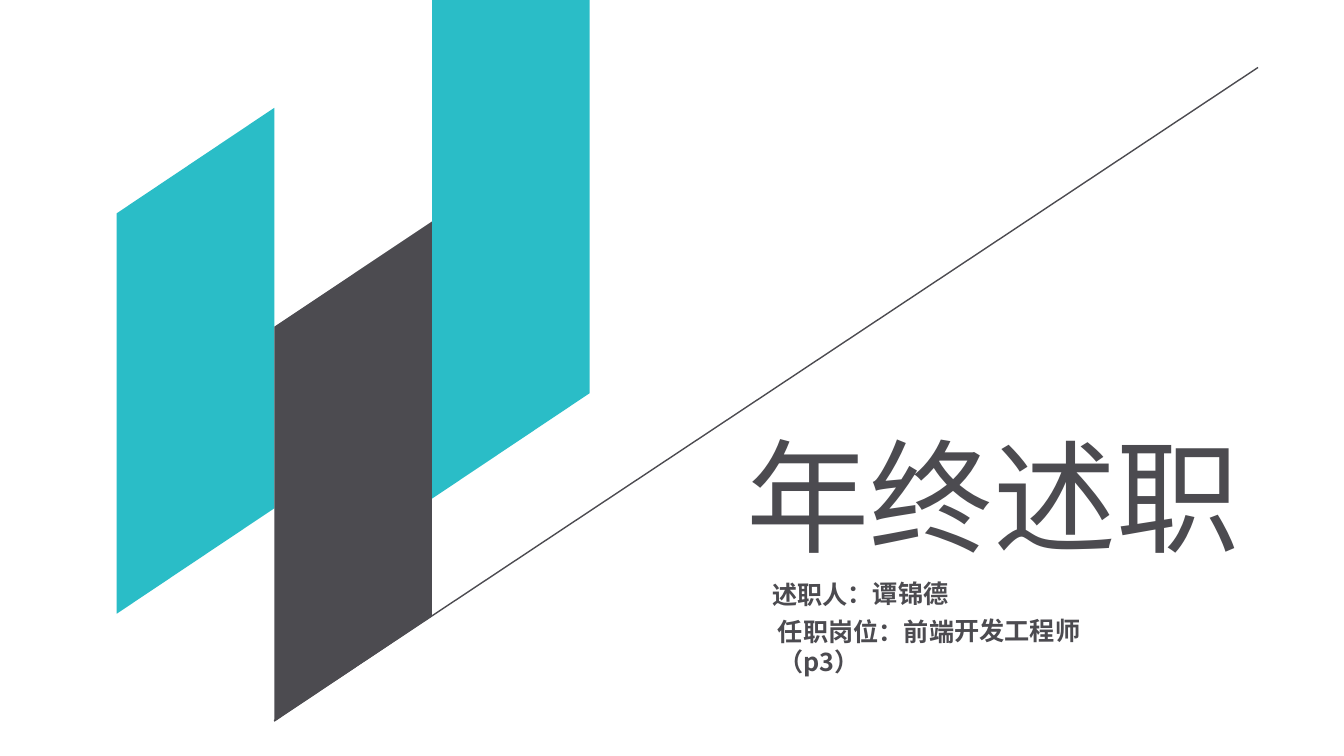
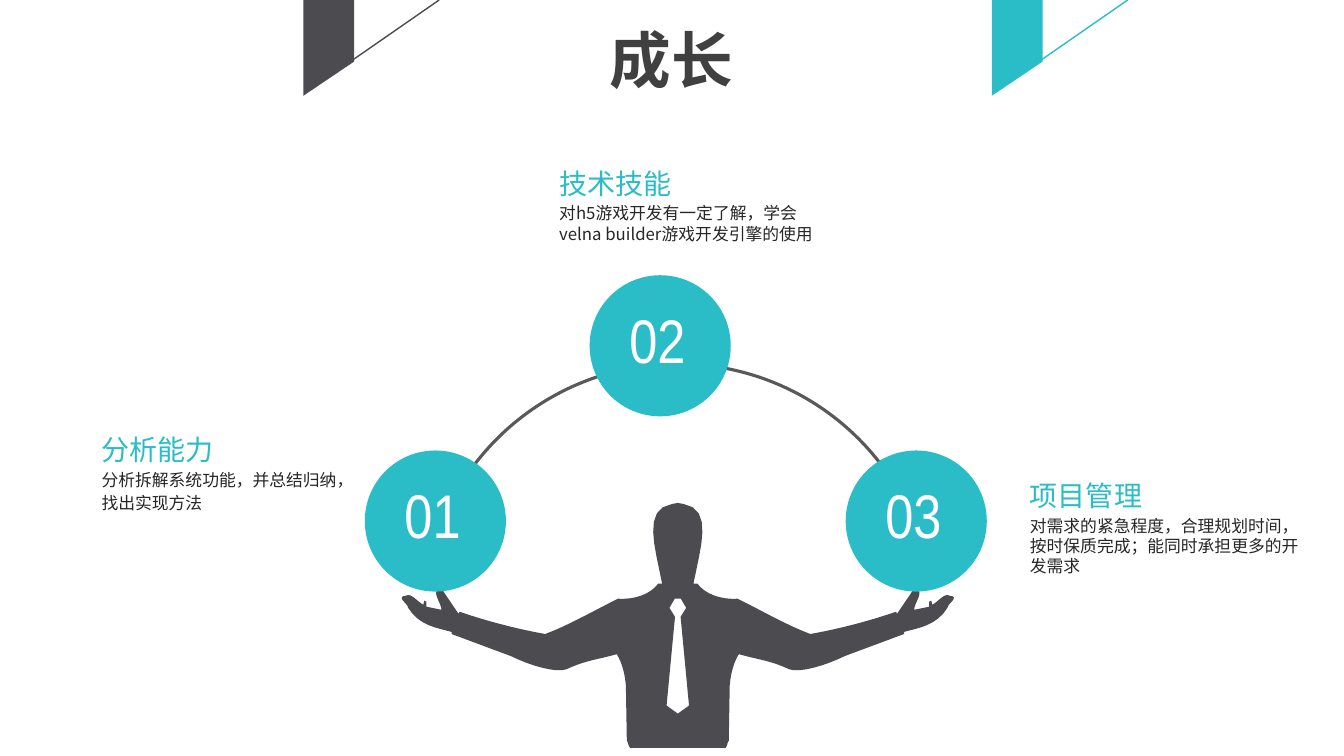
from lxml.etree import SubElement
from pptx import Presentation
from pptx.dml.color import RGBColor
from pptx.enum.shapes import MSO_CONNECTOR, MSO_SHAPE
from pptx.enum.text import MSO_ANCHOR, PP_ALIGN
from pptx.oxml.ns import qn
from pptx.util import Pt

# Shared look
TEAL, DARK, TITLE_GREY = "2ABDC7", "4C4B50", "404040"
ARC_GREY, BODY_GREY, WHITE = "595959", "262626", "FFFFFF"
CJK_FONT, NUMBER_FONT = "Noto Sans CJK SC", "Arial Narrow"

# Right half of the figure as offsets from its axis:
# two numbers make a straight line, six make a Bezier curve.
AXIS = 484.2
BODY_HALF = [
    (0, 359.3), (4, 360),
    (25.6, 363.6, 16.2, 391, 11.2, 416.9), (14, 416.9),
    (19.8, 424.8, 31.3, 428.4, 42.8, 427.7),
    (60.1, 436.3, 77.4, 446.4, 94.7, 452.9),
    (115.6, 449.3, 139.3, 442.8, 155.9, 437),
    (156.6, 438.5), (168.8, 420.5),
    (177.5, 421.2, 168.8, 430.6, 168.8, 435.6),
    (179.6, 433.4), (179.6, 429.8), (181.1, 429.1), (181.8, 432),
    (186.1, 429.8, 190.4, 423.4, 194, 425.5),
    (202, 426.2, 192.6, 431.3, 192.6, 434.2),
    (184.7, 447.1, 171.7, 448.6, 161.6, 451.4),
    (161.6, 452.9), (119.2, 468.7),
    (106.2, 475.2, 86.8, 481, 79.6, 478.1),
    (65.9, 471.6, 55.8, 470.9, 43.6, 467.3),
    (40, 473, 37.8, 481, 37.1, 489.6), (36.4, 529.2),
    (34.9, 530.6, 35.6, 535.7, 32, 534.2), (0, 534.2),
]
TIE_HALF = [(0, 427.7), (2.2, 427.7), (6, 434.2), (2, 440.6), (8, 504), (0, 509.8)]


def color(hex_text):
    return RGBColor.from_string(hex_text)


def paint(shape, fill):
    shape.shadow.inherit = False
    shape.fill.solid()
    shape.fill.fore_color.rgb = color(fill)
    shape.line.fill.background()


def add_outline(page, contours, fill):
    """Draw closed contours as one filled shape."""
    contours = [[(Pt(x), Pt(y)) for x, y in contour] for contour in contours]
    builder = page.shapes.build_freeform(*contours[0][0])
    for number, contour in enumerate(contours):
        if number:
            builder.move_to(*contour[0])
        builder.add_line_segments(contour[1:], close=True)
    paint(builder.convert_to_shape(), fill)


def add_line(page, start, end, stroke):
    line = page.shapes.add_connector(
        MSO_CONNECTOR.STRAIGHT, *(Pt(value) for value in start + end))
    line.line.color.rgb = color(stroke)
    line.line.width = Pt(1)
    SubElement(line._element.spPr, qn("a:effectLst"))


def style_paragraph(para, text, size, ink, bold=False, name=CJK_FONT):
    span = para.add_run()
    span.text = text
    para.font.size = Pt(size)
    para.font.bold = bold
    para.font.name = name
    para.font.color.rgb = color(ink)
    # East Asian glyphs take their own font entry
    east_asian = SubElement(span._r.get_or_add_rPr(), qn("a:ea"))
    east_asian.set("typeface", name)


def add_text(page, area, lines, wrap=False, rotation=0):
    """Each line is (text, size, ink, bold)."""
    box = page.shapes.add_textbox(*(Pt(value) for value in area))
    box.rotation = rotation
    frame = box.text_frame
    frame.word_wrap = wrap
    for number, line in enumerate(lines):
        para = frame.add_paragraph() if number else frame.paragraphs[0]
        style_paragraph(para, *line)
        if number:
            para.space_before = Pt(2.4)


def flatten(segments, steps=8):
    """Turn lines and Bezier curves into a list of points."""
    points = [segments[0]]
    for segment in segments[1:]:
        if len(segment) == 2:
            points.append(segment)
            continue
        start = points[-1]
        for step in range(1, steps + 1):
            t = step / steps
            u = 1 - t
            points.append(tuple(
                u ** 3 * start[i] + 3 * u * u * t * segment[i]
                + 3 * u * t * t * segment[i + 2] + t ** 3 * segment[i + 4]
                for i in (0, 1)))
    return points


def mirror(half):
    points = flatten(half)
    right = [(AXIS + x, y) for x, y in points]
    left = [(AXIS - x, y) for x, y in points[-2:0:-1]]
    return right + left


# Cover
def add_panel(page, column, top_left, top_right, bottom, fill):
    width, rise = 112.6, 75.3
    left = 83.4 + column * width
    right = left + width
    add_outline(page, [[(left, top_left), (right, top_right),
                        (right, bottom - rise), (left, bottom)]], fill)


def build_cover(page):
    add_panel(page, 0, 152.4, 77, 438.4, TEAL)
    add_panel(page, 1, 233.4, 158.2, 515.6, DARK)
    add_panel(page, 2, 0, 0, 356.2, TEAL)
    add_line(page, (195.8, 514.8), (898.6, 48.2), DARK)
    add_text(page, (526.3, 296.6, 370, 114), [("年终述职", 88, DARK)])
    add_text(page, (544.3, 409.7, 142.6, 29), [("述职人：谭锦德", 18, DARK, True)],
             rotation=359.4)
    add_text(page, (548.6, 436.3, 250, 50),
             [("任职岗位：前端开发工程师（p3）", 18, DARK, True)],
             wrap=True, rotation=359.8)


# Growth
def add_ribbon(page, left, fill):
    add_outline(page, [[(left, 0), (left + 36.2, 0),
                        (left + 36.2, 44), (left, 68.4)]], fill)
    add_line(page, (left + 23.5, 51), (left + 97, 0), fill)


def add_arc(page, radius, center_y, start_degrees, end_degrees):
    arc = page.shapes.add_shape(
        MSO_SHAPE.ARC, Pt(AXIS - radius), Pt(center_y - radius),
        Pt(2 * radius), Pt(2 * radius))
    arc.shadow.inherit = False
    # Angles are stored as 60000ths of a degree, adjustments as 100000ths
    arc.adjustments[0] = start_degrees * 0.6
    arc.adjustments[1] = end_degrees * 0.6
    arc.fill.background()
    arc.line.color.rgb = color(ARC_GREY)
    arc.line.width = Pt(2.25)


def add_ball(page, left, top, label):
    ball = page.shapes.add_shape(MSO_SHAPE.OVAL, Pt(left), Pt(top), Pt(100.8), Pt(100.8))
    paint(ball, TEAL)
    frame = ball.text_frame
    frame.word_wrap = False
    frame.vertical_anchor = MSO_ANCHOR.MIDDLE
    frame.margin_left = frame.margin_top = Pt(0)
    frame.margin_right, frame.margin_bottom = Pt(4), Pt(10)
    para = frame.paragraphs[0]
    para.alignment = PP_ALIGN.CENTER
    style_paragraph(para, label, 44, WHITE, name=NUMBER_FONT)


def add_skill(page, left, top, heading, *details):
    lines = [(heading, 20, TEAL)] + [(detail, 12, BODY_GREY) for detail in details]
    add_text(page, (left, top, 211.7, 66), lines, wrap=True)


def build_growth(page):
    add_ribbon(page, 216.7, DARK)
    add_ribbon(page, 708.5, TEAL)
    add_text(page, (428.4, 12.2, 103.7, 60.5), [("成长", 44, TITLE_GREY, True)])
    add_arc(page, 182.5, 442.4, 188.83, 350.04)
    add_outline(page, [mirror(BODY_HALF), mirror(TIE_HALF)], DARK)
    for left, top, label in ((260.6, 321.8, "01"), (421.2, 196.6, "02"),
                             (604.1, 321.8, "03")):
        add_ball(page, left, top, label)
    add_skill(page, 65.5, 305.3, "分析能力",
              "分析拆解系统功能，并总结归纳，", "找出实现方法")
    add_skill(page, 392.4, 115.2, "技术技能",
              "对h5游戏开发有一定了解，学会velna builder游戏开发引擎的使用")
    add_skill(page, 728.6, 338.4, "项目管理",
              "对需求的紧急程度，合理规划时间，按时保质完成；能同时承担更多的开发需求")


def main():
    deck = Presentation()
    deck.slide_width, deck.slide_height = Pt(960), Pt(540)
    for build in (build_cover, build_growth):
        build(deck.slides.add_slide(deck.slide_layouts[6]))
    deck.save("out.pptx")


if __name__ == "__main__":
    main()
